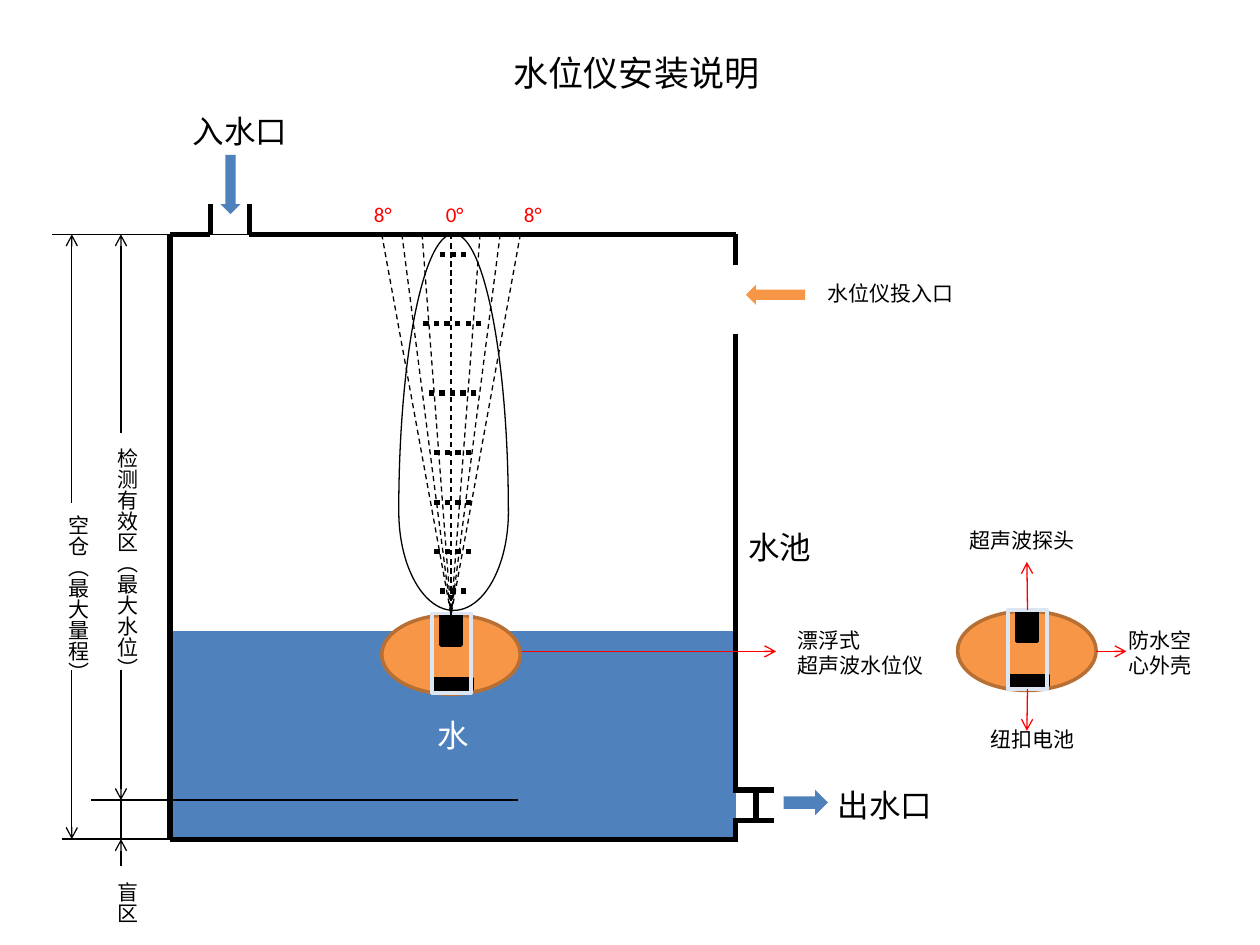
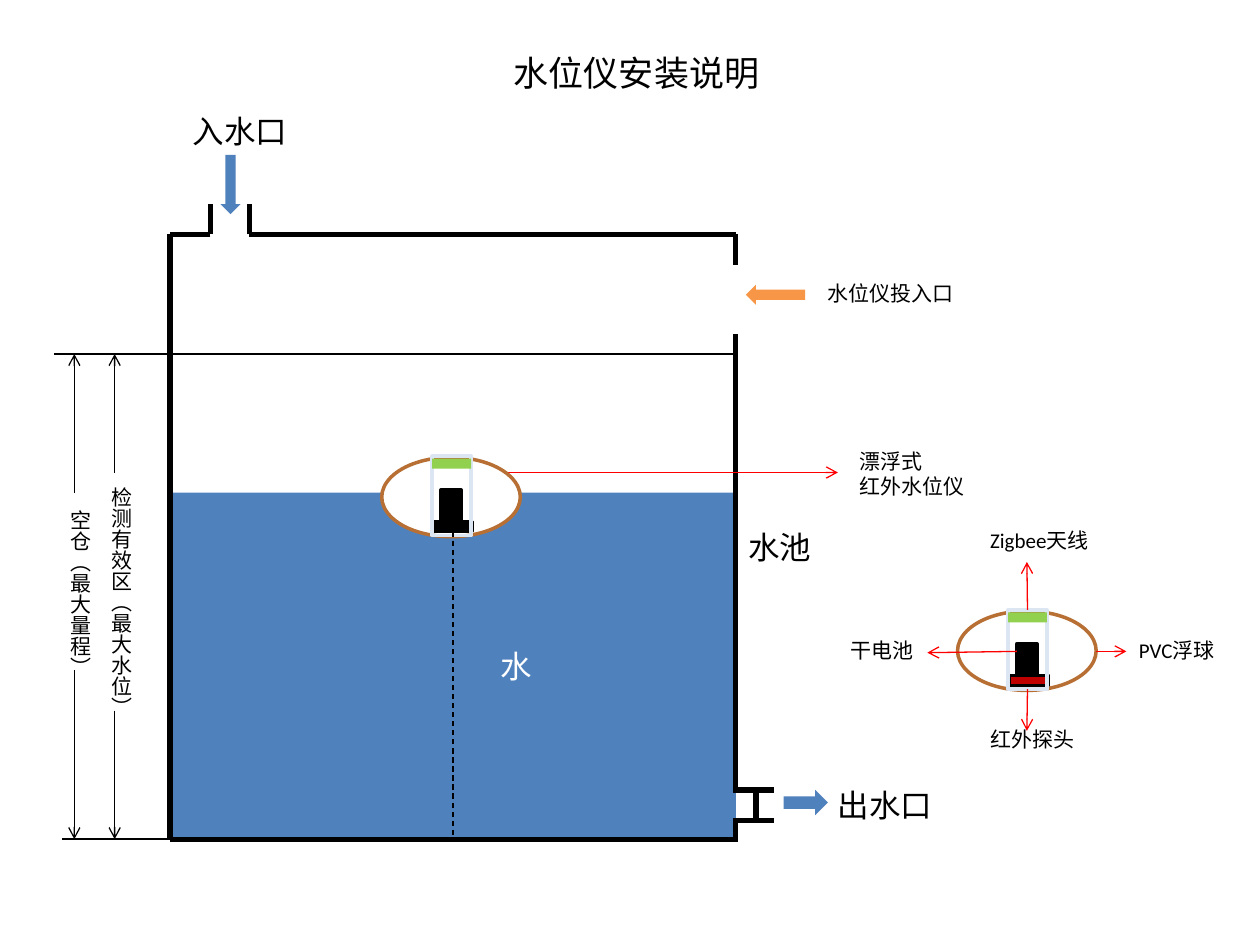
from collections import namedtuple

from lxml import etree
from pptx import Presentation
from pptx.dml.color import RGBColor
from pptx.enum.dml import MSO_LINE
from pptx.enum.shapes import MSO_CONNECTOR, MSO_SHAPE
from pptx.enum.text import MSO_ANCHOR, MSO_AUTO_SIZE, PP_ALIGN
from pptx.oxml.ns import qn
from pptx.util import Inches, Pt

RECT, ELLIPSE, ARC = MSO_SHAPE.RECTANGLE, MSO_SHAPE.OVAL, MSO_SHAPE.ARC
DOWN, LEFT, RIGHT = MSO_SHAPE.DOWN_ARROW, MSO_SHAPE.LEFT_ARROW, MSO_SHAPE.RIGHT_ARROW
STRAIGHT = MSO_CONNECTOR.STRAIGHT
DASH, DOTS = MSO_LINE.DASH, MSO_LINE.ROUND_DOT
FIT_TEXT, MIDDLE, CENTER = MSO_AUTO_SIZE.SHAPE_TO_FIT_TEXT, MSO_ANCHOR.MIDDLE, PP_ALIGN.CENTER
TOP_SIDE, BOTTOM_SIDE = 0, 2

FONT = "Calibri"
BLACK, WHITE, RED = "000000", "FFFFFF", "FF0000"
WATER, ORANGE, SHELL_EDGE = "4F81BD", "F79646", "B76F34"
TUBE, ANTENNA, INFRARED = "DCE6F2", "92D050", "C00000"
THIN, EDGE, WALL = 0.75, 2, 3

Box = namedtuple("Box", "left top width height")
TANK = Box(1.35, 1.86, 4.49, 4.8)
TANK_RIGHT, TANK_BOTTOM = TANK.left + TANK.width, TANK.top + TANK.height
DETAIL = Box(7.6, 4.85, 1.1, 0.63)


def rgb(hex_color):
    return RGBColor.from_string(hex_color)


def write(frame, text, size=12, color=BLACK, align=None):
    for index, words in enumerate(text.split("\n")):
        paragraph = frame.add_paragraph() if index else frame.paragraphs[0]
        paragraph.alignment = align
        run = paragraph.add_run()
        run.text = words
        run.font.name, run.font.size = FONT, Pt(size)
        run.font.color.rgb = rgb(color)


def label(slide, box, text, wrap=True, vertical=False, **text_format):
    frame = slide.shapes.add_textbox(*map(Inches, box)).text_frame
    frame.word_wrap = wrap
    frame.auto_size = FIT_TEXT
    if vertical:
        frame._txBody.bodyPr.set("vert", "eaVert")
    write(frame, text, **text_format)


def shape(slide, preset, box, fill=None, edge=None, width=EDGE, rotation=0):
    part = slide.shapes.add_shape(preset, *map(Inches, box))
    part.shadow.inherit = False
    part.rotation = rotation
    if fill:
        part.fill.solid()
        part.fill.fore_color.rgb = rgb(fill)
    else:
        part.fill.background()
    if edge:
        part.line.color.rgb = rgb(edge)
        part.line.width = Pt(width)
    else:
        part.line.fill.background()
    return part


def line(slide, start, end, color=BLACK, width=THIN, dash=None, arrow=False):
    stroke = slide.shapes.add_connector(STRAIGHT, *map(Inches, (*start, *end)))
    stroke.line.color.rgb = rgb(color)
    stroke.line.width = Pt(width)
    if dash:
        stroke.line.dash_style = dash
    if arrow:
        etree.SubElement(stroke.line._get_or_add_ln(), qn("a:tailEnd"), type="arrow")
    etree.SubElement(stroke._element.spPr, qn("a:effectLst"))
    return stroke


def draw_title(slide):
    label(slide, (3.98, 0.36, 2.17, 0.44), "水位仪安装说明", wrap=False, size=20)


def draw_tank(slide, box, water_top, water_indent=0.1):
    left, top, width, height = box
    right, bottom = left + width, top + height

    # Water
    water = shape(slide, RECT, (left, water_top, width, bottom - water_top), WATER)
    water.text_frame.vertical_anchor = MIDDLE
    water.text_frame.margin_left = Inches(water_indent)
    write(water.text_frame, "水", size=18, color=WHITE, align=CENTER)

    # Walls, with openings for the inlet, the gauge and the outlet
    inlet_left, inlet_right = left + 0.32, left + 0.63
    outlet_top, outlet_bottom = bottom - 0.39, bottom - 0.15
    walls = [
        ((left, bottom), (left, top)),
        ((left, bottom), (right, bottom)),
        ((inlet_right, top), (right, top)),
        ((inlet_left, top), (left, top)),
        ((right, top + 0.24), (right, top)),
        ((right, outlet_top), (right, top + 0.79)),
        ((right, bottom + 0.02), (right, outlet_bottom)),
        ((right + 0.16, outlet_bottom), (right + 0.16, outlet_top)),
    ]
    walls += [((x, top), (x, top - 0.24)) for x in (inlet_left, inlet_right)]
    walls += [((right + 0.3, y), (right - 0.02, y)) for y in (outlet_top, outlet_bottom)]
    for start, end in walls:
        line(slide, start, end, width=WALL)

    # Flow arrows and names
    shape(slide, DOWN, (left + 0.4, top - 0.63, 0.16, 0.47), WATER)
    shape(slide, LEFT, (right + 0.08, top + 0.4, 0.47, 0.16), ORANGE)
    shape(slide, RIGHT, (right + 0.38, bottom - 0.39, 0.35, 0.2), WATER)
    label(slide, (left + 0.08, top - 1.02, 0.96, 0.4), "入水口", wrap=False, size=18)
    label(slide, (right, top + 2.28, 0.71, 0.4), "水池", wrap=False, size=18)
    label(slide, (right + 0.71, bottom - 0.47, 0.96, 0.4), "出水口", wrap=False, size=18)
    label(slide, (right + 0.63, top + 0.32, 1.42, 0.3), "水位仪投入口")
    return water


def draw_gauge(slide, box, shell, probe_drop=0, base_fill=BLACK, antenna=False):
    left, top, width, height = box
    shape(slide, ELLIPSE, box, shell, SHELL_EDGE)
    probe = shape(slide, RECT, (left + 0.47, top + probe_drop, 0.16, 0.24), BLACK, BLACK)
    base = shape(slide, RECT, (left + 0.41, top + 0.51, 0.31, 0.08), base_fill, BLACK)
    tube = shape(slide, RECT, (left + 0.4, top - 0.01, 0.31, height), edge=TUBE)
    if antenna:
        shape(slide, RECT, (left + 0.4, top + 0.01, 0.31, 0.08), ANTENNA)
    return probe, base, tube


def draw_detail(slide, box, top_part, bottom_part, shell_part, **gauge):
    """Enlarged gauge; each part is a (box, text) pair."""
    left, top, width, height = box
    tube = draw_gauge(slide, box, **gauge)[2]
    middle = left + width / 2
    up = line(slide, (middle, top), (middle, top - 0.39), RED, arrow=True)
    up.begin_connect(tube, TOP_SIDE)
    down = line(slide, (middle, top + height), (middle, top + 0.95), RED, arrow=True)
    down.begin_connect(tube, BOTTOM_SIDE)
    line(slide, (left + width, top + 0.32), (left + 1.34, top + 0.32), RED, arrow=True)
    for (dx, dy, part_width, part_height), text in (top_part, bottom_part, shell_part):
        label(slide, (left + dx, top + dy, part_width, part_height), text)


def draw_callout(slide, start, end, text):
    line(slide, start, end, RED, arrow=True)
    label(slide, (end[0] + 0.07, end[1] - 0.24, 1.42, 0.5), text)


def draw_range(slide, x, top, bottom, gap, label_top, label_height, text):
    """Vertical dimension, interrupted over the gap by its name."""
    for start, end in zip(gap, (top, bottom)):
        line(slide, (x, start), (x, end), arrow=True)
    label(slide, (x - 0.2, label_top, 0.4, label_height), text, wrap=False, vertical=True)


def draw_ranges(slide, top, full, effective):
    """full and effective are (x, bottom, gap, label top)."""
    names = (("空仓（最大量程）", 1.45), ("检测有效区（最大水位）", 1.95))
    line(slide, (TANK.left, TANK_BOTTOM), (0.49, TANK_BOTTOM))
    for (x, bottom, gap, label_top), (text, height) in zip((full, effective), names):
        draw_range(slide, x, top, bottom, gap, label_top, height, text)


def draw_blind_zone(slide, x, top, bottom):
    line(slide, (4.11, top), (0.72, top))
    line(slide, (x, top), (x, bottom))
    line(slide, (x, bottom + 0.21), (x, bottom), arrow=True)
    label(slide, (x - 0.2, bottom + 0.24, 0.4, 0.44), "盲区", wrap=False, vertical=True)


def draw_beam(slide, box, probe):
    """Ultrasonic lobe and rays between the tank's roof and the probe."""
    left, top, width, height = box
    center, bottom = left + width / 2, top + height

    # Wave fronts: distance below the roof, half length
    for drop, reach in ((0.16, 0.12), (0.71, 0.24), (1.26, 0.2), (1.73, 0.16),
                        (2.13, 0.16), (2.52, 0.16), (2.83, 0.12)):
        y = top + drop
        line(slide, (center + reach, y), (center - reach, y), width=WALL, dash=DOTS)

    # Lobe: a long upper half and a short lower half
    lobe_middle, lobe_width = top + 2.2, 0.87
    for length, rotation in ((4.41, 270), (1.57, 90)):
        lobe_box = (center + 0.02 - length / 2, lobe_middle - lobe_width / 2, length, lobe_width)
        half = shape(slide, ARC, lobe_box, edge=BLACK, width=THIN, rotation=rotation)
        half.adjustments[0], half.adjustments[1] = 162, 54

    # Rays
    for spread in (-0.55, -0.39, -0.23, 0, 0.23, 0.39, 0.55):
        ray = line(slide, (center + spread, top), (center, bottom), dash=DASH)
        ray.end_connect(probe, TOP_SIDE)

    # Angles
    for dx, angle in ((-0.71, "8°"), (-0.14, "0°"), (0.48, "8°")):
        label(slide, (center + dx, top - 0.31, 0.47, 0.3), angle, color=RED)


def build_ultrasonic(slide):
    draw_title(slide)
    draw_tank(slide, TANK, water_top=5.01)

    line(slide, (4.27, TANK.top), (0.41, TANK.top))
    draw_ranges(slide, TANK.top,
                full=(0.57, TANK_BOTTOM, (3.99, 5.32), 3.99),
                effective=(0.96, 6.35, (3.44, 5.32), 3.46))
    draw_blind_zone(slide, 0.96, 6.35, TANK_BOTTOM)

    draw_callout(slide, (3.32, 5.17), (6.16, 5.17), "漂浮式\n超声波水位仪")
    probe = draw_gauge(slide, Box(3.03, 4.88, 1.1, 0.63), ORANGE)[0]
    draw_beam(slide, Box(3.03, TANK.top, 1.1, 3.02), probe)

    draw_detail(slide, DETAIL,
                ((0, -0.71, 1.1, 0.3), "超声波探头"),
                ((0.16, 0.87, 1.1, 0.3), "纽扣电池"),
                ((1.26, 0.08, 0.83, 0.5), "防水空心外壳"),
                shell=ORANGE)


def build_infrared(slide):
    draw_title(slide)
    water = draw_tank(slide, TANK, water_top=3.91, water_indent=1.1)

    highest_level = 2.81
    line(slide, (TANK_RIGHT, highest_level), (0.43, highest_level))
    draw_ranges(slide, highest_level,
                full=(0.59, TANK_BOTTOM, (3.91, 5.32), 3.95),
                effective=(0.91, TANK_BOTTOM, (3.75, 5.64), 3.77))

    draw_callout(slide, (3.82, 3.75), (6.65, 3.75), "漂浮式\n红外水位仪")
    infrared_gauge = {"shell": WHITE, "probe_drop": 0.26, "antenna": True}
    base = draw_gauge(slide, Box(3.03, 3.63, 1.1, 0.63), **infrared_gauge)[1]
    infrared_ray = line(slide, (3.59, 4.22), (3.59, TANK_BOTTOM), dash=DASH)
    infrared_ray.begin_connect(base, BOTTOM_SIDE)
    infrared_ray.end_connect(water, BOTTOM_SIDE)

    draw_detail(slide, DETAIL,
                ((0.16, -0.71, 1.1, 0.3), "Zigbee天线"),
                ((0.16, 0.87, 1.1, 0.3), "红外探头"),
                ((1.34, 0.16, 0.83, 0.3), "PVC浮球"),
                base_fill=INFRARED, **infrared_gauge)
    line(slide, (8.07, 5.17), (7.36, 5.18), RED, arrow=True)
    label(slide, (6.65, 5.01, 0.83, 0.3), "干电池")


def main():
    deck = Presentation()
    deck.slide_width, deck.slide_height = Inches(10), Inches(7.5)
    blank = deck.slide_layouts[6]
    for build in (build_ultrasonic, build_infrared):
        build(deck.slides.add_slide(blank))
    deck.save("out.pptx")


if __name__ == "__main__":
    main()
